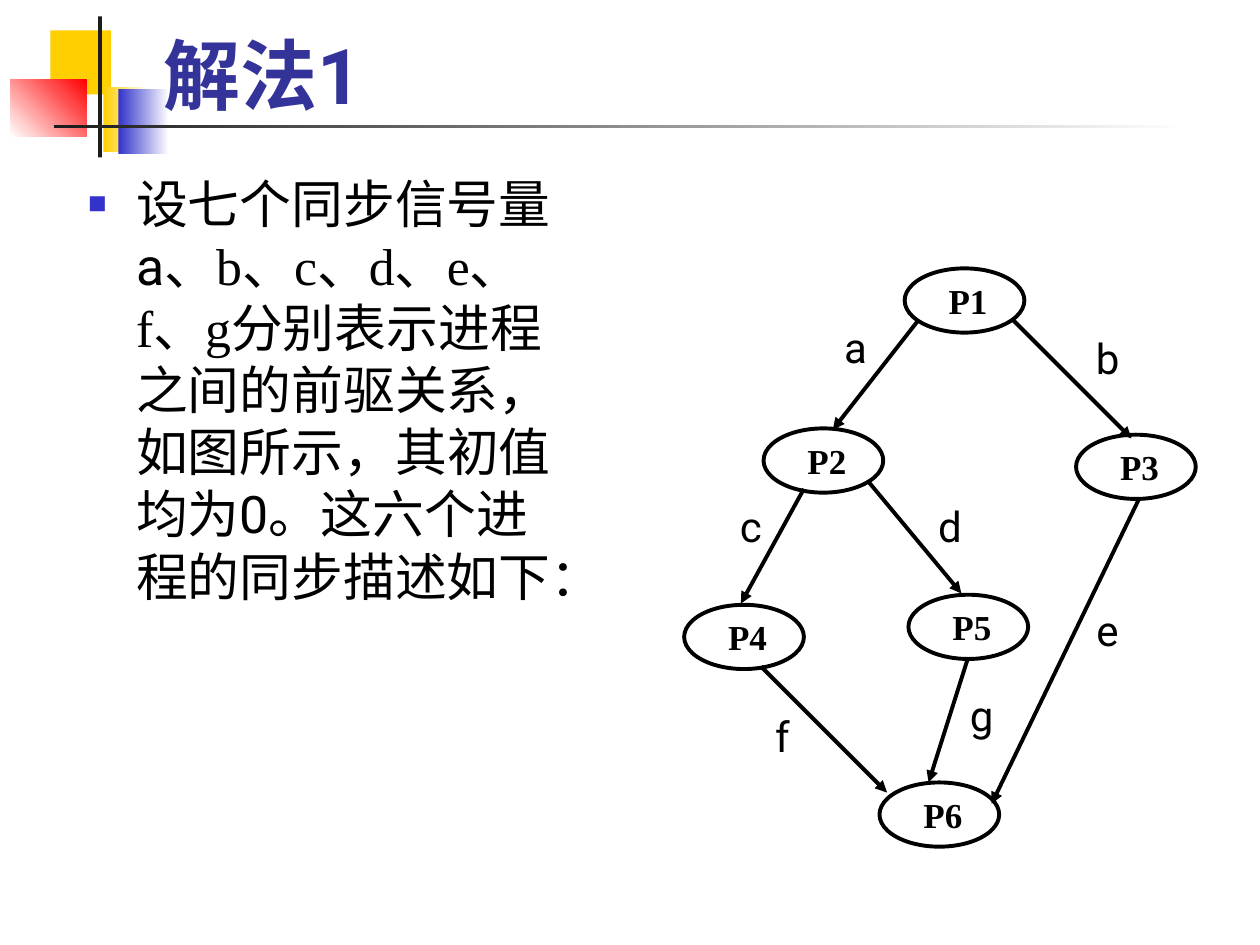
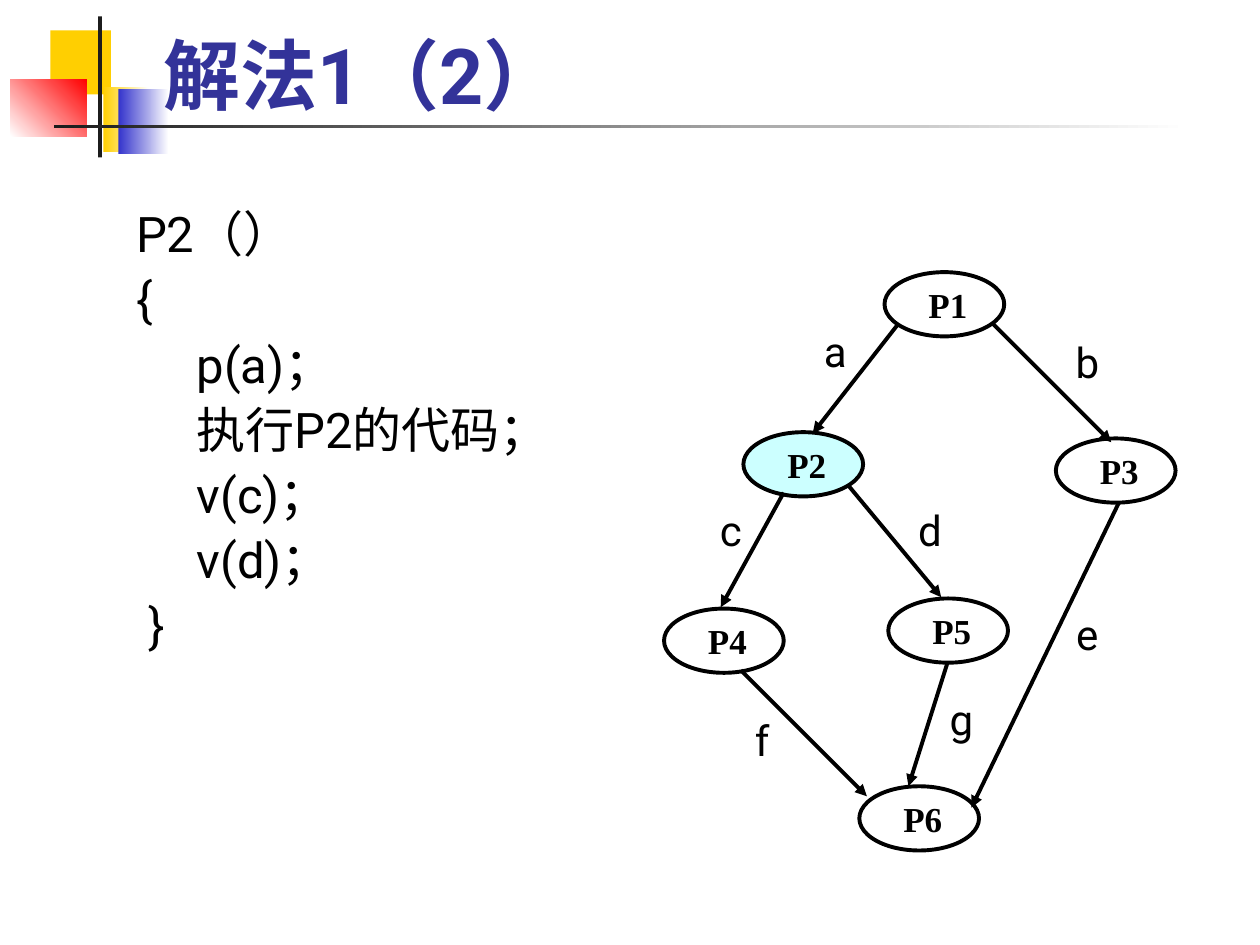
from lxml.etree import SubElement
from pptx import Presentation
from pptx.dml.color import RGBColor
from pptx.enum.shapes import MSO_CONNECTOR as CONN, MSO_SHAPE as SHAPE
from pptx.enum.text import MSO_ANCHOR as ANCHOR, MSO_AUTO_SIZE as AUTO, PP_ALIGN as ALIGN
from pptx.oxml.ns import qn
from pptx.util import Inches, Pt

BLACK, WHITE, INK = "000000", "FFFFFF", "1C1C1C"
YELLOW, BLUE, RED, NAVY, CYAN = "FFCF01", "3333CC", "FF0000", "333399", "CCFFFF"
SANS, SERIF = "Roboto", "Times New Roman"
TITLE_BOX = (1.2, 0.17, 8.52, 0.83)

DECOR = [
    ((0.4, 0.24, 0.48, 0.51), [YELLOW], 0),
    ((0.82, 0.69, 0.36, 0.52), [YELLOW, WHITE], 0),
    ((0.94, 0.71, 0.4, 0.51), [BLUE, WHITE], 0),
    ((0.08, 0.63, 0.61, 0.45), [WHITE, RED], 45),
    ((0.78, 0.13, 0.03, 1.12), [INK], 0),
    ((0.43, 0.99, 9, 0.03), [INK, WHITE], 0),
]

NODE_SIZE, LABEL_SIZE = (0.95, 0.51), (0.5, 0.42)
NODES = {
    "P1": (7.18, 2.13), "P2": (6.06, 3.4), "P3": (8.54, 3.45),
    "P4": (5.43, 4.8), "P5": (7.21, 4.72), "P6": (6.98, 6.21),
}
EDGES = {
    "a": ((7.29, 2.54), (6.61, 3.41), (6.54, 2.54)),
    "b": ((8.04, 2.54), (8.98, 3.48), (8.54, 2.63)),
    "c": ((6.38, 3.88), (5.88, 4.79), (5.71, 3.96)),
    "d": ((6.89, 3.82), (7.63, 4.71), (7.29, 3.96)),
    "e": ((9.04, 3.96), (7.87, 6.38), (8.54, 4.79)),
    "f": ((6.04, 5.29), (7.04, 6.29), (5.96, 5.63)),
    "g": ((7.68, 5.23), (7.37, 6.21), (7.54, 5.46)),
}

SLIDES = [
    {
        "title": "解法1", "box": (0.6, 1.31, 4.08, 4.79), "size": 29.6,
        "bullet": True, "align": ALIGN.LEFT, "spacing": 1, "before": 8,
        "paras": [[
            ("设七个同步信号量a", SANS),
            ("、b、c、d、e、f、g分别表示进程之间的前驱关系，如图所示", SERIF),
            ("，其初值均为0。这六个进程的同步描述如下：", SANS),
        ]],
        "shift": (0, 0), "active": None,
    },
    {
        "title": "解法1（2）", "box": (0.98, 1.62, 3.68, 3.88), "size": 28,
        "bullet": False, "align": ALIGN.JUSTIFY, "spacing": 0.9, "before": 7,
        "paras": [[(line, SANS)] for line in (
            "P2（）", "{", "     p(a)；", "     执行P2的代码；",
            "     v(c)；", "     v(d)；", " }")],
        "shift": (-0.16, 0.03), "active": "P2",
    },
]


def rgb(color):
    """Turn a hex string into a colour."""
    return RGBColor.from_string(color)


def place(sp, box):
    """Set position and size in inches."""
    sp.left, sp.top, sp.width, sp.height = map(Inches, box)


def add_run(p, text, size, font=SANS, color=BLACK, bold=False):
    """Append a formatted run to a paragraph."""
    r = p.add_run()
    r.text = text
    r.font.size, r.font.bold, r.font.name = Pt(size), bold, font
    r.font.color.rgb = rgb(color)
    SubElement(r._r.get_or_add_rPr(), qn("a:ea"), typeface=SANS)


def set_insets(tf, left=0):
    """Clear the insets, except an optional left one."""
    tf.margin_left = Inches(left)
    tf.margin_top = tf.margin_right = tf.margin_bottom = 0
    tf.vertical_anchor = ANCHOR.MIDDLE


def set_bullet(p, shown):
    """Give a paragraph a hanging indent, with or without a square bullet."""
    pPr = p._p.get_or_add_pPr()
    pPr.set("marL", str(Inches(0.38)))
    pPr.set("indent", str(-Inches(0.38)))
    if shown:
        SubElement(SubElement(pPr, qn("a:buClr")), qn("a:srgbClr"), val=BLUE)
        SubElement(pPr, qn("a:buSzPct"), val="60000")
        SubElement(pPr, qn("a:buChar"), char="■")
    else:
        SubElement(pPr, qn("a:buNone"))


def build_master(prs, s):
    """Draw the decoration and move it to the master; set the title area."""
    tree = prs.slide_master.shapes._spTree
    for i, (box, colors, angle) in enumerate(DECOR):
        sp = s.shapes.add_shape(SHAPE.RECTANGLE, *map(Inches, box))
        sp.shadow.inherit = False
        sp.line.fill.background()
        if len(colors) == 1:
            sp.fill.solid()
            sp.fill.fore_color.rgb = rgb(colors[0])
        else:
            sp.fill.gradient()
            sp.fill.gradient_angle = angle
            for stop, color, pos in zip(sp.fill.gradient_stops, colors, (0, 1)):
                stop.color.rgb, stop.position = rgb(color), pos
        tree.insert(2 + i, sp._element)
    place(s.slide_layout.placeholders[0], TITLE_BOX)


def add_title(s, text):
    """Fill the title placeholder."""
    tf = s.shapes.title.text_frame
    tf.vertical_anchor, tf.auto_size = ANCHOR.BOTTOM, AUTO.NONE
    tf.paragraphs[0].alignment = ALIGN.LEFT
    add_run(tf.paragraphs[0], text, 44, color=NAVY, bold=True)


def add_body(s, page):
    """Fill the body placeholder."""
    sp = s.placeholders[1]
    place(sp, page["box"])
    tf = sp.text_frame
    tf.auto_size = AUTO.NONE
    for i, runs in enumerate(page["paras"]):
        p = tf.add_paragraph() if i else tf.paragraphs[0]
        set_bullet(p, page["bullet"])
        p.alignment, p.line_spacing = page["align"], page["spacing"]
        p.space_before = Pt(page["before"] if i else 0)
        for text, font in runs:
            add_run(p, text, page["size"], font)


def add_node(s, name, x, y, fill):
    """Draw one process ellipse."""
    sp = s.shapes.add_shape(SHAPE.OVAL, *map(Inches, (x, y, *NODE_SIZE)))
    sp.shadow.inherit = False
    sp.fill.solid()
    sp.fill.fore_color.rgb = rgb(fill)
    sp.line.color.rgb, sp.line.width = rgb(BLACK), Pt(2.25)
    set_insets(sp.text_frame, 0.21)
    p = sp.text_frame.paragraphs[0]
    p.alignment = ALIGN.JUSTIFY
    add_run(p, name, 20, SERIF, bold=True)


def add_edge(s, start, end):
    """Draw one arrow."""
    sp = s.shapes.add_connector(CONN.STRAIGHT, *map(Inches, (*start, *end)))
    sp.line.color.rgb, sp.line.width = rgb(BLACK), Pt(2.25)
    SubElement(sp.line._get_or_add_ln(), qn("a:tailEnd"), type="triangle")
    SubElement(sp._element.spPr, qn("a:effectLst"))


def add_label(s, text, x, y):
    """Write the semaphore name beside its arrow."""
    tf = s.shapes.add_textbox(*map(Inches, (x, y, *LABEL_SIZE))).text_frame
    tf.word_wrap = False
    set_insets(tf)
    tf.paragraphs[0].alignment = ALIGN.CENTER
    add_run(tf.paragraphs[0], text, 24)


def add_graph(s, shift, active):
    """Draw the precedence graph, shifted, with one node highlighted."""
    def moved(point):
        return [a + d for a, d in zip(point, shift)]

    for name, at in NODES.items():
        add_node(s, name, *moved(at), CYAN if name == active else WHITE)
    for name, (start, end, at) in EDGES.items():
        add_edge(s, moved(start), moved(end))
        add_label(s, name, *moved(at))


def main():
    """Build the presentation."""
    prs = Presentation()
    prs.slide_width, prs.slide_height = Inches(10), Inches(7.5)
    for i, page in enumerate(SLIDES):
        s = prs.slides.add_slide(prs.slide_layouts[1])
        if i == 0:
            build_master(prs, s)
        add_title(s, page["title"])
        add_body(s, page)
        add_graph(s, page["shift"], page["active"])
    prs.save("out.pptx")


if __name__ == "__main__":
    main()
